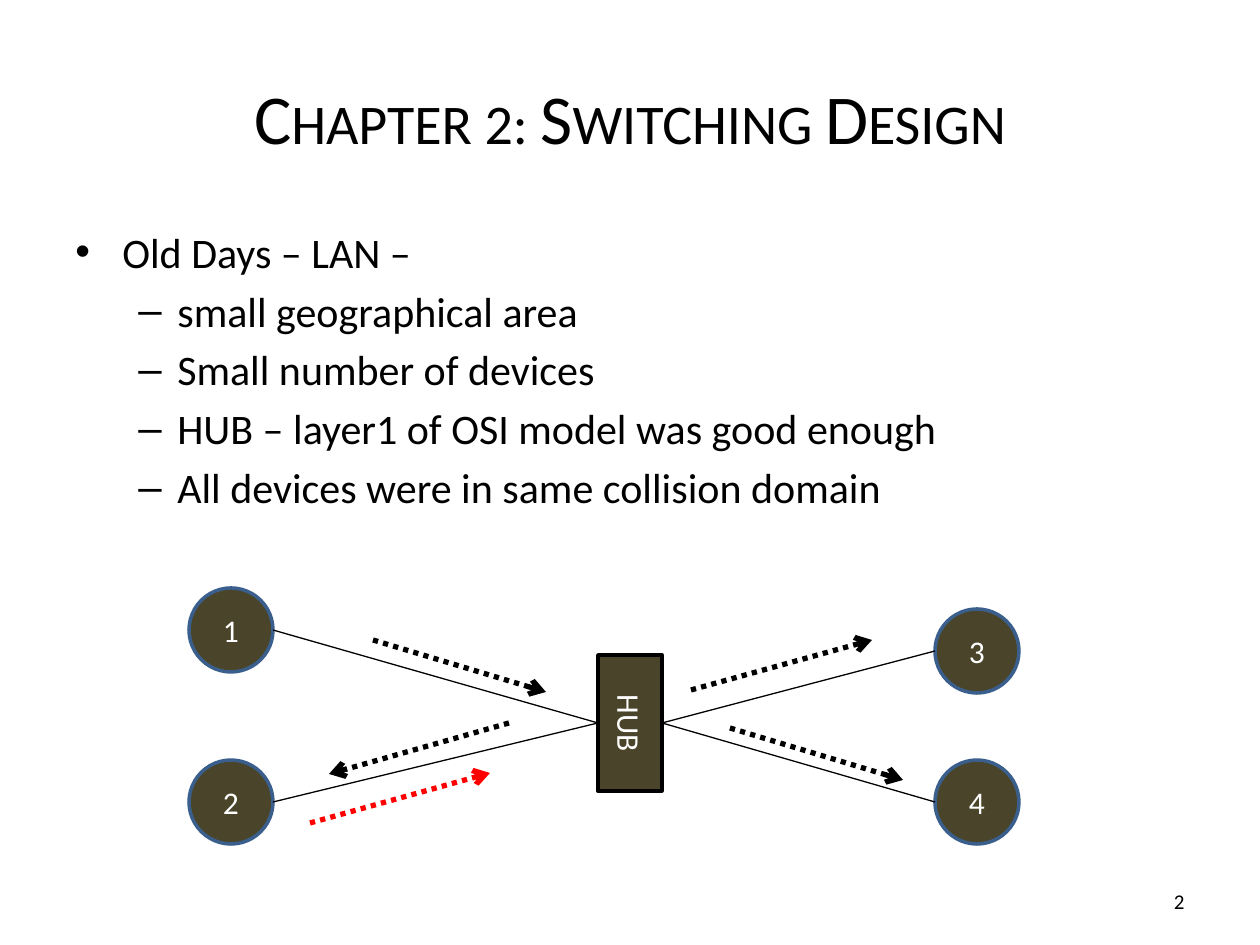
from lxml import etree
from pptx import Presentation
from pptx.dml.color import RGBColor
from pptx.enum.dml import MSO_LINE
from pptx.enum.shapes import MSO_CONNECTOR, MSO_SHAPE
from pptx.enum.text import MSO_ANCHOR, PP_ALIGN
from pptx.oxml.ns import qn
from pptx.util import Emu, Pt

SCALE = 914400 / 126
LEFT, CENTER, RIGHT = PP_ALIGN.LEFT, PP_ALIGN.CENTER, PP_ALIGN.RIGHT
TOP, MIDDLE = MSO_ANCHOR.TOP, MSO_ANCHOR.MIDDLE
RECTANGLE, OVAL = MSO_SHAPE.RECTANGLE, MSO_SHAPE.OVAL
STRAIGHT, DOTTED = MSO_CONNECTOR.STRAIGHT, MSO_LINE.ROUND_DOT
FONT = "Calibri"
BLACK, WHITE, RED = "000000", "FFFFFF", "FF0000"
OLIVE, BLUE = "4A452A", "3A5F8C"
HUB_LEFT, HUB_RIGHT = 1, 3


def px(length):
    return Emu(round(length * SCALE))


def color(value):
    return RGBColor.from_string(value)


class SlideBuilder:
    def __init__(self, page):
        self.page = page

    def style(self, para, size, ink, align):
        para.alignment = align
        para.font.name = FONT
        para.font.size = Pt(size)
        para.font.color.rgb = color(ink)

    def text(self, box, words, size, align=LEFT, anchor=TOP):
        shape = self.page.shapes.add_textbox(*map(px, box))
        frame = shape.text_frame
        frame.word_wrap = True
        frame.vertical_anchor = anchor
        para = frame.paragraphs[0]
        para.text = words
        self.style(para, size, BLACK, align)
        return frame

    def title(self, box, words):
        frame = self.text(box, words, 40, CENTER, MIDDLE)
        span = frame.paragraphs[0].runs[0]
        span.font._element.set("cap", "small")

    def bullet(self, para, mark, margin, hang):
        properties = para._p.get_or_add_pPr()
        properties.set("marL", str(px(margin)))
        properties.set("indent", str(-px(hang)))
        etree.SubElement(properties, qn("a:buFont"), typeface="Arial")
        etree.SubElement(properties, qn("a:buChar"), char=mark)

    def outline(self, box, heading, points, size):
        frame = self.text(box, heading, size)
        self.bullet_first(frame.paragraphs[0])
        for point in points:
            para = frame.add_paragraph()
            para.text = point
            para.level = 1
            para.space_before = Pt(size * 0.2)
            self.bullet(para, "–", 102, 39)
            self.style(para, size, BLACK, LEFT)

    def bullet_first(self, para):
        self.bullet(para, "•", 47, 47)

    def device(self, kind, box, label, border):
        shape = self.page.shapes.add_shape(kind, *map(px, box))
        shape.shadow.inherit = False
        shape.fill.solid()
        shape.fill.fore_color.rgb = color(OLIVE)
        shape.line.color.rgb = color(border)
        shape.line.width = Pt(2)
        frame = shape.text_frame
        frame.vertical_anchor = MIDDLE
        para = frame.paragraphs[0]
        para.text = label
        self.style(para, 18, WHITE, CENTER)
        return shape

    def line(self, start, end, ink=BLACK, width=0.75):
        line = self.page.shapes.add_connector(STRAIGHT, *map(px, start + end))
        line.line.color.rgb = color(ink)
        line.line.width = Pt(width)
        etree.SubElement(line._element.spPr, qn("a:effectLst"))
        return line

    def signal(self, start, end, ink):
        line = self.line(start, end, ink, 3)
        line.line.dash_style = DOTTED
        etree.SubElement(line.line._get_or_add_ln(), qn("a:tailEnd"), type="arrow")


def main():
    deck = Presentation()
    deck.slide_width, deck.slide_height = px(1260), px(945)
    page = deck.slides.add_slide(deck.slide_layouts[6])
    slide = SlideBuilder(page)

    slide.title((63, 38, 1134, 157), "Chapter 2: Switching Design")
    slide.outline((63, 220, 1134, 624), "Old Days – LAN –", [
        "small geographical area",
        "Small number of devices",
        "HUB – layer1 of OSI model was good enough",
        "All devices were in same collision domain",
    ], 24)
    slide.text((903, 876, 294, 50), "2", 12, RIGHT, MIDDLE)

    hub_x, hub_y, hub_width, hub_height = 598, 655, 64, 136
    hub = slide.device(RECTANGLE, (hub_x, hub_y, hub_width, hub_height), "HUB", BLACK)
    hub.text_frame._txBody.bodyPr.set("vert", "vert")
    hub_middle = hub_y + hub_height // 2

    diameter = 84
    nodes = [
        ("1", 189, 588, HUB_LEFT),
        ("2", 189, 760, HUB_LEFT),
        ("3", 935, 609, HUB_RIGHT),
        ("4", 935, 760, HUB_RIGHT),
    ]
    for label, x, y, side in nodes:
        slide.device(OVAL, (x, y, diameter, diameter), label, BLUE)
        on_left = side == HUB_LEFT
        hub_end = (hub_x if on_left else hub_x + hub_width, hub_middle)
        node_end = (x + diameter if on_left else x, y + diameter // 2)
        slide.line(hub_end, node_end).begin_connect(hub, side)

    signals = [
        ((373, 640), (546, 692), BLACK),
        ((730, 728), (903, 780), BLACK),
        ((691, 690), (872, 640), BLACK),
        ((509, 723), (329, 774), BLACK),
        ((310, 823), (490, 773), RED),
    ]
    for start, end, ink in signals:
        slide.signal(start, end, ink)

    deck.save("out.pptx")


if __name__ == "__main__":
    main()
